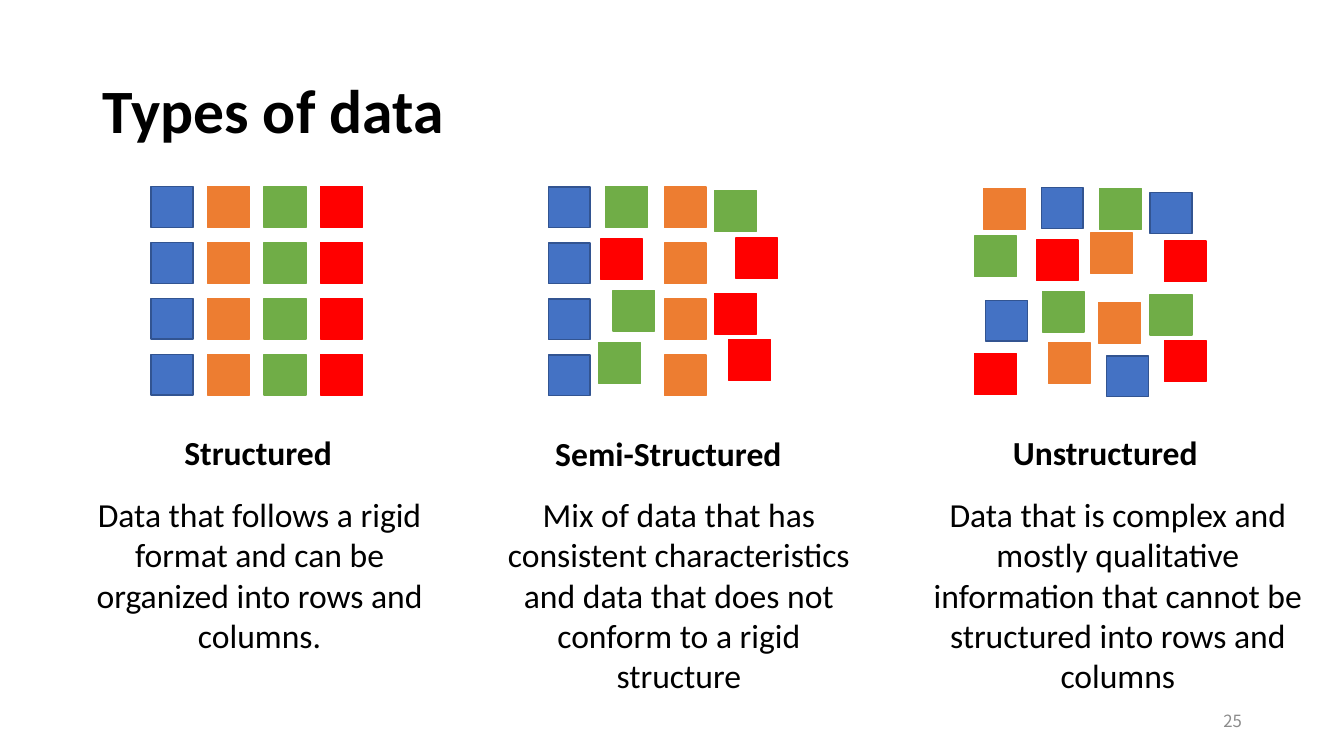
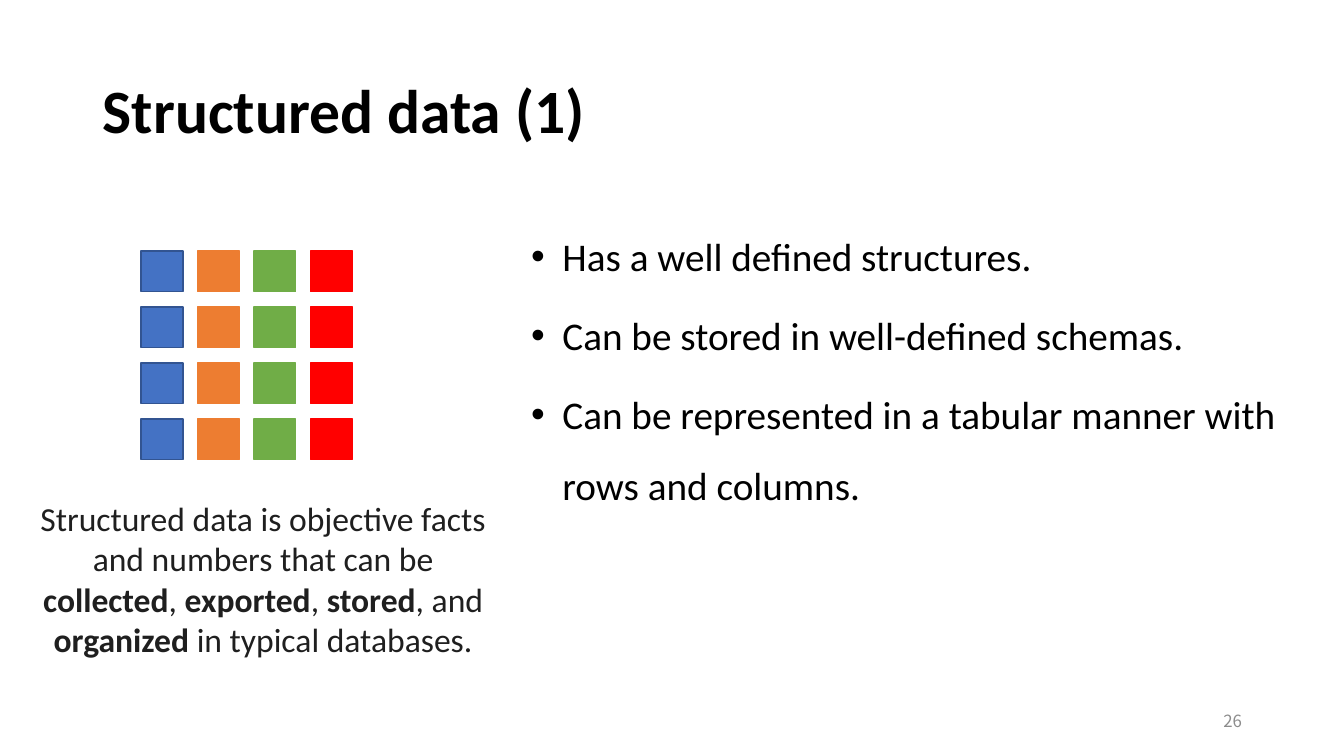
from lxml import etree
from pptx import Presentation
from pptx import util as u
from pptx.dml.color import RGBColor
from pptx.enum import shapes, text
from pptx.oxml import ns

COLS, ROWS = 133.33, 75
CELL = u.Inches(0.1)
SIDE_W, SIDE_H = 4.15, 4.05
STEP_X, STEP_Y = 5.6, 5.55
BLACK = RGBColor(0x00, 0x00, 0x00)
INK = RGBColor(0x1F, 0x1F, 0x1F)
GRAY = RGBColor(0x8C, 0x8C, 0x8C)
BLUE = RGBColor(0x44, 0x72, 0xC4)
NAVY = RGBColor(0x32, 0x54, 0x91)
ORANGE = RGBColor(0xED, 0x7D, 0x31)
GREEN = RGBColor(0x70, 0xAD, 0x47)
RED = RGBColor(0xFF, 0x00, 0x00)
LEFT, CENTER, RIGHT = text.PP_ALIGN.LEFT, text.PP_ALIGN.CENTER, text.PP_ALIGN.RIGHT
TOP, MIDDLE = text.MSO_ANCHOR.TOP, text.MSO_ANCHOR.MIDDLE

SEMI = [
    (60.1, 18.5, GREEN), (59.6, 23.7, RED), (60.8, 28.8, GREEN), (59.4, 34, GREEN),
    (70.9, 18.9, GREEN), (73, 23.6, RED), (70.9, 29.1, RED), (72.3, 33.7, RED),
]
LOOSE = [
    (97.6, 18.7, ORANGE), (96.7, 23.4, GREEN), (97.8, 29.8, BLUE), (96.7, 35.1, RED),
    (109.1, 18.7, GREEN), (108.2, 23.1, ORANGE), (109, 30, ORANGE), (109.8, 35.3, BLUE),
    (103.3, 18.6, BLUE), (102.8, 23.8, RED), (103.4, 28.9, GREEN), (104, 34, ORANGE),
    (114.1, 19.1, BLUE), (115.5, 23.9, RED), (114.1, 29.2, GREEN), (115.5, 33.8, RED),
]
TYPES = [
    (17.3, 42.4, 22.7, "Structured", 6.7, 38.1,
     "Data that follows a rigid format and can be organized into rows and columns."),
    (54.1, 42.5, 34.5, "Semi-Structured", 48.3, 38.1,
     "Mix of data that has consistent characteristics and data that does not "
     "conform to a rigid structure"),
    (99.5, 42.4, 24.2, "Unstructured", 90.6, 40.6,
     "Data that is complex and mostly qualitative information that cannot be "
     "structured into rows and columns"),
]


def grid(*cells):
    return [int(n * CELL) for n in cells]


def add_bullet(p):
    pPr = p._p.get_or_add_pPr()
    pPr.set("marL", str(u.Inches(0.31)))
    pPr.set("indent", str(-u.Inches(0.31)))
    etree.SubElement(pPr, ns.qn("a:buFont")).set("typeface", "Arial")
    etree.SubElement(pPr, ns.qn("a:buChar")).set("char", "•")


def write(sp, *paras, size=24, font="Calibri", color=BLACK, bold=False, align=LEFT,
          anchor=TOP, spacing=1.0, after=0, bullet=False):
    tf = sp.text_frame
    tf.word_wrap = True
    tf.auto_size = text.MSO_AUTO_SIZE.NONE
    tf.vertical_anchor = anchor
    for i, para in enumerate(paras):
        p = tf.add_paragraph() if i else tf.paragraphs[0]
        if bullet:
            add_bullet(p)
        p.alignment, p.line_spacing = align, spacing
        p.space_before, p.space_after = u.Pt(0), u.Pt(after)
        for j, part in enumerate(para.split("*")):
            r = p.add_run()
            r.text = part
            r.font.size, r.font.name = u.Pt(size), font
            r.font.color.rgb = color
            r.font.bold = bold or j % 2 == 1


def place(sp, *cells):
    sp.left, sp.top, sp.width, sp.height = grid(*cells)
    return sp


def add_text(s, cells, *paras, **fmt):
    write(s.shapes.add_textbox(*grid(*cells)), *paras, **fmt)


def add_slide(prs, layout, title, number):
    s = prs.slides.add_slide(prs.slide_layouts[layout])
    write(place(s.shapes.title, 9.2, 4, 115, 14.5), title,
          size=44, bold=True, anchor=MIDDLE, spacing=0.9)
    add_text(s, (94.2, 69.5, 30, 4), number, size=12, font="Noto Sans CJK SC",
             color=GRAY, align=RIGHT, anchor=MIDDLE)
    return s


def add_squares(s, squares):
    group = s.shapes.add_group_shape()
    for x, y, color in squares:
        sp = group.shapes.add_shape(shapes.MSO_SHAPE.RECTANGLE,
                                    *grid(x, y, SIDE_W, SIDE_H))
        sp.shadow.inherit = False
        sp.fill.solid()
        sp.fill.fore_color.rgb = color
        sp.line.color.rgb = NAVY if color == BLUE else color
        sp.line.width = u.Pt(1)


def column(x, y, color):
    return [(x, y + i * STEP_Y, color) for i in range(4)]


def table(x, y):
    return [square for i, color in enumerate((BLUE, ORANGE, GREEN, RED))
            for square in column(x + i * STEP_X, y, color)]


def types_slide(prs):
    s = add_slide(prs, 5, "Types of data", "25")
    add_squares(s, table(15, 18.5))
    add_squares(s, column(54.4, 18.55, BLUE) + column(65.9, 18.55, ORANGE) + SEMI)
    add_squares(s, LOOSE)
    for x, y, w, name, body_x, body_w, body in TYPES:
        add_text(s, (x, y, w, 5), name, bold=True)
        add_text(s, (body_x, 48.5, body_w, 21.2), body, align=CENTER)


def structured_slide(prs):
    s = add_slide(prs, 1, "Structured data (1)", "26")
    add_squares(s, table(14, 24.9))
    add_text(s, (1.9, 48.9, 48.4, 17.2),
             "Structured data is objective facts and numbers that can be *collected*, "
             "*exported*, *stored*, and *organized* in typical databases.",
             color=INK, align=CENTER)
    write(place(s.placeholders[1], 51.7, 20.2, 77, 30.2),
          "Has a well defined structures.",
          "Can be stored in well-defined schemas.",
          "Can be represented in a tabular manner with rows and columns.",
          size=28, spacing=1.5, after=6, bullet=True)


def main():
    prs = Presentation()
    prs.slide_width, prs.slide_height = grid(COLS, ROWS)
    types_slide(prs)
    structured_slide(prs)
    prs.save("out.pptx")


if __name__ == "__main__":
    main()
